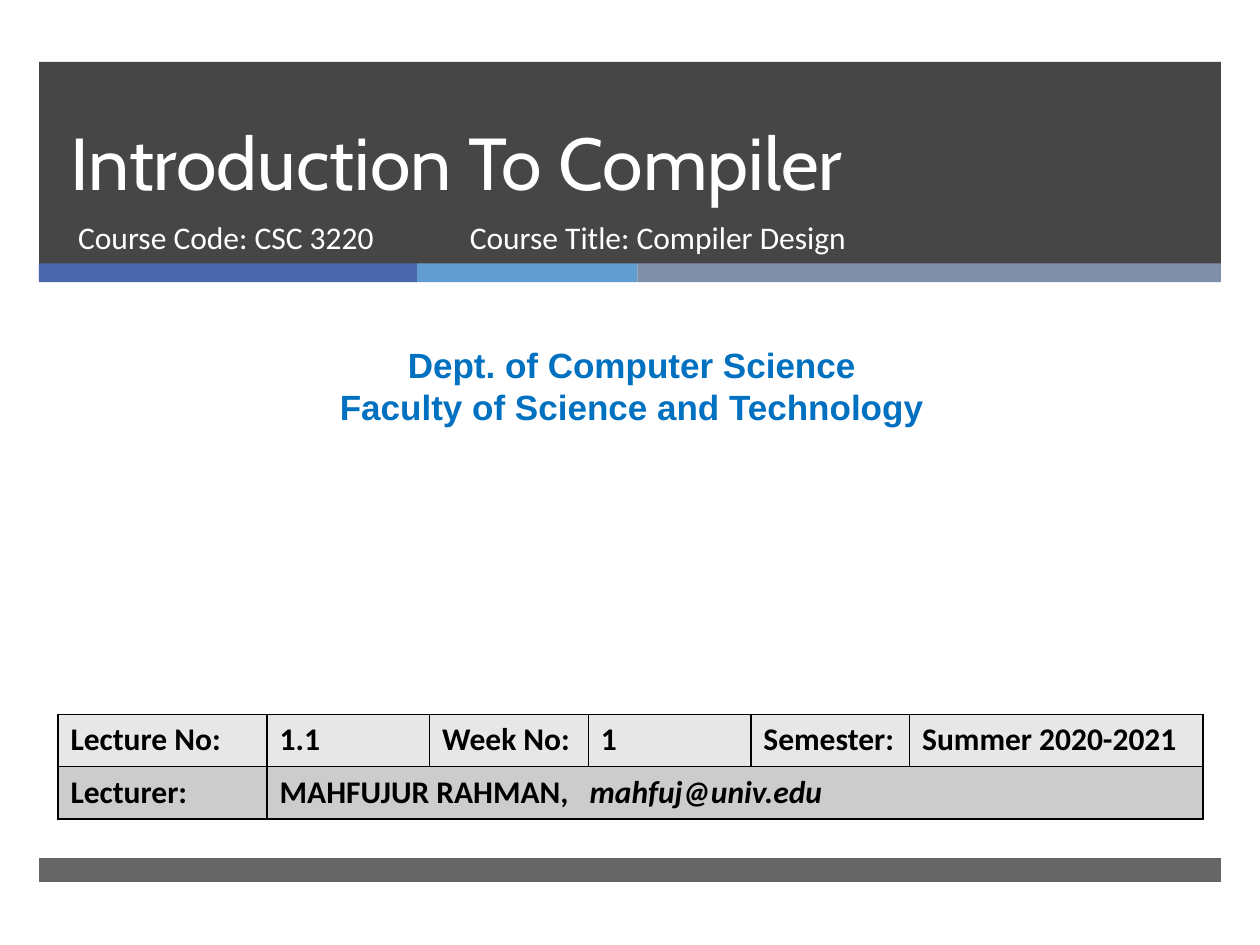
from lxml import etree
from pptx import Presentation
from pptx.dml.color import RGBColor
from pptx.enum.shapes import MSO_SHAPE
from pptx.enum.text import MSO_ANCHOR, MSO_AUTO_SIZE, PP_ALIGN
from pptx.oxml.ns import qn
from pptx.util import Inches, Pt

RECTANGLE = MSO_SHAPE.RECTANGLE
TOP, BOTTOM = MSO_ANCHOR.TOP, MSO_ANCHOR.BOTTOM
LEFT, CENTER = PP_ALIGN.LEFT, PP_ALIGN.CENTER
NO_FIT = MSO_AUTO_SIZE.NONE

BARS = [
    ((0.31, 0.49, 9.38, 1.61), "262626", 85),
    ((0.31, 2.09, 3, 0.15), "4A66AC", 100),
    ((3.31, 2.09, 1.75, 0.15), "629DD1", 100),
    ((5.06, 2.09, 4.63, 0.15), "7F8FA9", 100),
    ((0.31, 6.81, 9.38, 0.19), "262626", 70),
]
TITLE = "Introduction To Compiler"
COURSE_CODE = "Course Code: CSC 3220"
COURSE_TITLE = "Course Title: Compiler Design"
DEPARTMENT = ["Dept. of Computer Science", "Faculty of Science and Technology"]
LECTURE_ROWS = [
    ["Lecture No:", "1.1", "Week No:", "1", "Semester:", "Summer 2020-2021"],
    ["Lecturer:", "MAHFUJUR RAHMAN,"],
]
EMAIL = "mahfuj@univ.edu"
EMAIL_TAB = 2.46
ROW_FILLS = ["E7E7E7", "CCCCCC"]
COLUMN_WIDTHS = [1.66, 1.29, 1.26, 1.29, 1.26, 2.33]
ROW_HEIGHT = 0.415

TITLE_FONT = {"name": "Cabin", "size": Pt(42), "color": "FFFFFF"}
COURSE_FONT = {"name": "Calibri", "size": Pt(18), "color": "FFFFFF"}
DEPARTMENT_FONT = {"name": "Arial", "size": Pt(20), "color": "0070C0", "bold": True}
TABLE_FONT = {"name": "Calibri", "size": Pt(18), "color": "000000", "bold": True}


def paint(color_format, color):
    color_format.rgb = RGBColor.from_string(color)


def fill_solid(fill, color):
    fill.solid()
    paint(fill.fore_color, color)


def add_span(para, text, font_values):
    span = para.add_run()
    span.text = text
    for key, value in font_values.items():
        if key == "color":
            paint(span.font.color, value)
        else:
            setattr(span.font, key, value)


def write(box, lines, font_values, align=LEFT, anchor=TOP, line_spacing=None):
    frame = box.text_frame
    frame.word_wrap = True
    frame.auto_size = NO_FIT
    frame.vertical_anchor = anchor
    for index, line in enumerate(lines):
        para = frame.add_paragraph() if index else frame.paragraphs[0]
        para.alignment = align
        para.space_before = Pt(0)
        para.line_spacing = line_spacing
        add_span(para, line, font_values)


def place(box, *bounds):
    box.left, box.top, box.width, box.height = map(Inches, bounds)


def add_borders(cell):
    properties = cell._tc.get_or_add_tcPr()
    for index, side in enumerate(("lnL", "lnR", "lnT", "lnB")):
        line = etree.Element(qn("a:" + side), w=str(Pt(1)))
        solid = etree.SubElement(line, qn("a:solidFill"))
        etree.SubElement(solid, qn("a:srgbClr"), val="000000")
        properties.insert(index, line)


deck = Presentation()
deck.slide_width, deck.slide_height = Inches(10), Inches(7.5)
page = deck.slides.add_slide(deck.slide_layouts[0])
shapes = page.shapes
title, course_code = page.placeholders

for bounds, color, opacity in BARS:
    bar = shapes.add_shape(RECTANGLE, *map(Inches, bounds))
    bar.shadow.inherit = False
    fill_solid(bar.fill, color)
    bar.line.fill.background()
    if opacity < 100:
        shade = bar._element.spPr.find(".//" + qn("a:srgbClr"))
        etree.SubElement(shade, qn("a:alpha"), val=str(opacity * 1000))

for placeholder in (title, course_code):
    shapes._spTree.append(placeholder._element)

place(title, 0.46, 0.49, 8.54, 1.19)
write(title, [TITLE], TITLE_FONT, anchor=BOTTOM, line_spacing=Pt(46))
place(course_code, 0.52, 1.68, 3.05, 0.53)
write(course_code, [COURSE_CODE], COURSE_FONT)

department = shapes.add_textbox(*map(Inches, (0.08, 2.68, 9.87, 0.77)))
write(department, DEPARTMENT, DEPARTMENT_FONT, align=CENTER)
course_title = shapes.add_textbox(*map(Inches, (3.63, 1.68, 4.55, 0.53)))
write(course_title, [COURSE_TITLE], COURSE_FONT)

table = shapes.add_table(
    len(LECTURE_ROWS), len(COLUMN_WIDTHS), Inches(0.46), Inches(5.67),
    Inches(sum(COLUMN_WIDTHS)), Inches(ROW_HEIGHT * len(LECTURE_ROWS)),
).table
for column, width in zip(table.columns, COLUMN_WIDTHS):
    column.width = Inches(width)
table.cell(1, 1).merge(table.cell(1, 5))

for row_index, (texts, color) in enumerate(zip(LECTURE_ROWS, ROW_FILLS)):
    for column_index in range(len(COLUMN_WIDTHS)):
        cell = table.cell(row_index, column_index)
        fill_solid(cell.fill, color)
        add_borders(cell)
        if column_index < len(texts):
            add_span(cell.text_frame.paragraphs[0], texts[column_index], TABLE_FONT)

lecturer = table.cell(1, 1).text_frame.paragraphs[0]
tabs = etree.SubElement(lecturer._p.get_or_add_pPr(), qn("a:tabLst"))
etree.SubElement(tabs, qn("a:tab"), pos=str(Inches(EMAIL_TAB)), algn="l")
add_span(lecturer, "\t" + EMAIL, {**TABLE_FONT, "italic": True})

deck.save("out.pptx")
